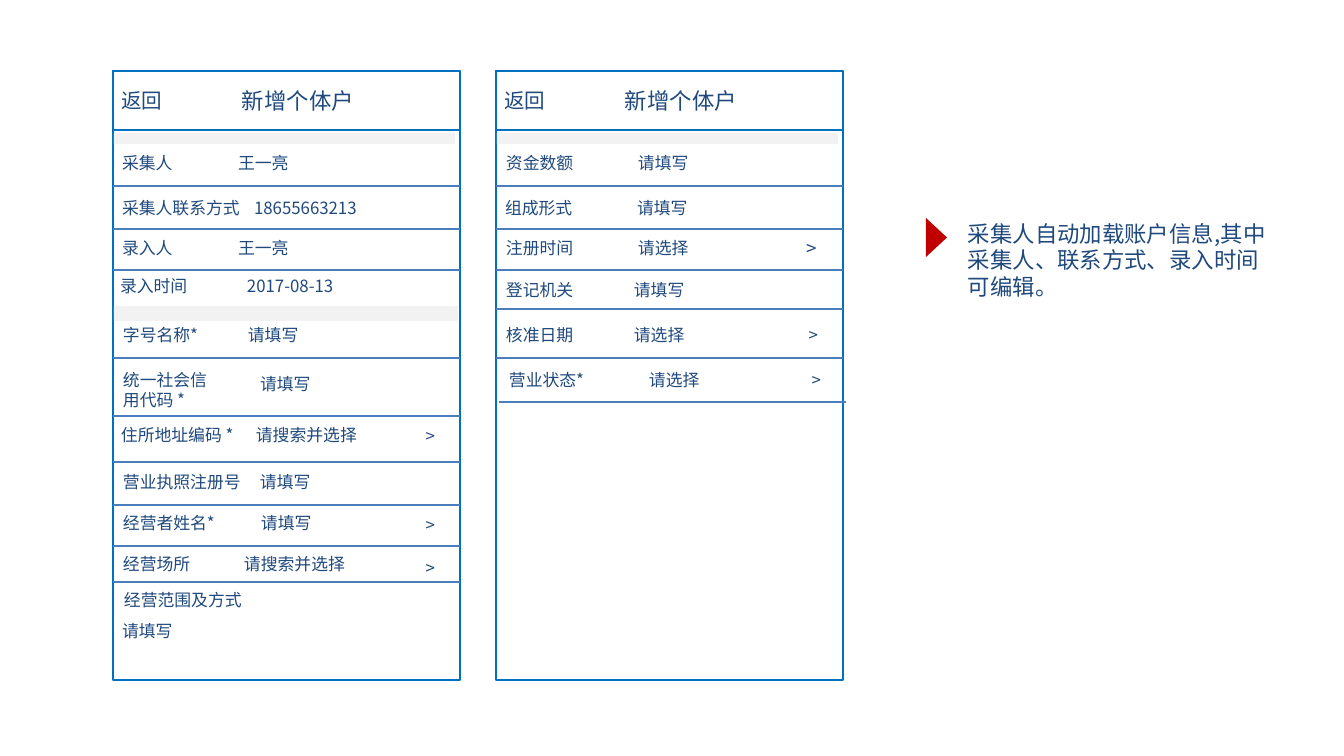
import pptx
import pptx.util
import pptx.dml.color
import pptx.enum.shapes
import pptx.enum.text
import pptx.oxml.ns
from lxml import etree

SCALE = 914400 / 134.4
FONT = "Noto Sans CJK SC"
COLORS = {"text": "1F497D", "frame": "0070C0", "rule": "4B7EBC",
          "band": "F2F2F2", "white": "FFFFFF", "marker": "C00000"}
SHAPES = pptx.enum.shapes.MSO_SHAPE
ALIGN = pptx.enum.text.PP_ALIGN


def px(length):
    return pptx.util.Emu(round(length * SCALE))


def color(name):
    return pptx.dml.color.RGBColor.from_string(COLORS[name])


def child(parent, tag, **attributes):
    return etree.SubElement(parent, pptx.oxml.ns.qn(tag), **attributes)


def add_box(slide, left, top, width, height, fill=None, line=None,
            kind=SHAPES.RECTANGLE):
    shape = slide.shapes.add_shape(kind, px(left), px(top), px(width), px(height))
    shape.shadow.inherit = False
    if fill:
        shape.fill.solid()
        shape.fill.fore_color.rgb = color(fill)
    else:
        shape.fill.background()
    if line:
        shape.line.color.rgb = color(line)
        shape.line.width = pptx.util.Pt(1.5)
    else:
        shape.line.fill.background()
    return shape


def add_text(slide, left, top, width, height, lines, size=9,
             align=ALIGN.LEFT, fill="white", tab=None, right_inset=0):
    shape = add_box(slide, left, top, width, height, fill)
    frame = shape.text_frame
    frame.word_wrap = True
    frame.vertical_anchor = pptx.enum.text.MSO_ANCHOR.MIDDLE
    frame.margin_left = frame.margin_top = frame.margin_bottom = 0
    frame.margin_right = px(right_inset)
    for index, line in enumerate(lines):
        paragraph = frame.add_paragraph() if index else frame.paragraphs[0]
        paragraph.alignment = align
        if tab:
            tabs = child(paragraph._p.get_or_add_pPr(), "a:tabLst")
            child(tabs, "a:tab", pos=str(px(tab)), algn="l")
        run = paragraph.add_run()
        run.text = line
        run.font.size = pptx.util.Pt(size)
        run.font.name = FONT
        run.font.color.rgb = color("text")
        child(run._r.get_or_add_rPr(), "a:ea", typeface=FONT)


def add_rule(slide, left, top, width):
    connector = slide.shapes.add_connector(
        pptx.enum.shapes.MSO_CONNECTOR.STRAIGHT,
        px(left), px(top), px(left + width), px(top))
    connector.line.color.rgb = color("rule")
    connector.line.width = pptx.util.Pt(0.75)
    child(connector._element.spPr, "a:effectLst")


def add_phone(slide, left, top, width, height, bands, rules, rows, chevrons):
    add_box(slide, left, top, width, 59, "white", "frame")
    add_text(slide, left + 107, top + 10, 156, 40, ["新增个体户"], 12,
             ALIGN.CENTER, None)
    add_box(slide, left, top, width, height, None, "frame")
    add_text(slide, left + 4, top + 18, 50, 23, ["返回"], 11, ALIGN.CENTER)
    for x, y, label, value_x, value in rows:
        line = f"{label}\t{value}" if label and value else label or value
        start = x if label else value_x
        lines = line.split("\n")
        add_text(slide, left + start, top + y, 335 - start, 20 * len(lines),
                 lines, fill="white" if label else None,
                 tab=value_x - x if label and value else None)
    for y, band_width, band_height in bands:
        add_box(slide, left + 1, top + y, band_width, band_height, "band")
    for x, y in rules:
        add_rule(slide, left + x, top + y, width)
    for x, y, size in chevrons:
        add_text(slide, left + x, top + y, 52, 20, [">"], size, ALIGN.RIGHT,
                 None, right_inset=13)


def add_note(slide, left, top, width, height, text):
    add_text(slide, left + 51, top, width - 51, height, [text], 12)
    marker = add_box(slide, left, top + 8, 39, 21, "marker",
                     kind=SHAPES.ISOSCELES_TRIANGLE)
    marker.rotation = 90


COLLECTOR_ROWS = [
    (9, 82, "采集人", 125, "王一亮"),
    (9, 127, "采集人联系方式", 141, "18655663213"),
    (9, 167, "录入人", 125, "王一亮"),
    (7, 205, "录入时间", 134, "2017-08-13"),
    (10, 254, "字号名称*", 135, "请填写"),
    (10, 299, "统一社会信\n用代码 *", 0, ""),
    (0, 303, "", 147, "请填写"),
    (8, 354, "住所地址编码 *", 143, "请搜索并选择"),
    (10, 401, "营业执照注册号", 147, "请填写"),
    (10, 442, "经营者姓名*", 148, "请填写"),
    (10, 483, "经营场所", 131, "请搜索并选择"),
    (11, 519, "经营范围及方式", 0, ""),
    (9, 550, "请填写", 0, ""),
]
BUSINESS_ROWS = [
    (10, 82, "资金数额", 142, "请填写"),
    (9, 127, "组成形式", 141, "请填写"),
    (10, 167, "注册时间", 142, "请选择"),
    (10, 209, "登记机关", 138, "请填写"),
    (10, 254, "核准日期", 138, "请选择"),
    (13, 299, "营业状态*", 153, "请选择"),
]
HEADER_BAND = (62, 341, 11)

presentation = pptx.Presentation()
presentation.slide_width = px(1344)
presentation.slide_height = px(756)
slide = presentation.slides.add_slide(presentation.slide_layouts[6])

add_phone(slide, 113, 71, 347, 609, [HEADER_BAND, (235, 344, 15)],
          [(0, y) for y in (115, 158, 199, 287, 345, 391, 434, 475, 511)],
          COLLECTOR_ROWS, [(283, y, 9) for y in (355, 444, 487)])
add_phone(slide, 496, 71, 347, 609, [HEADER_BAND],
          [(0, y) for y in (115, 158, 199, 238, 287)] + [(3, 331)],
          BUSINESS_ROWS, [(282, 167, 10), (283, 254, 9), (286, 299, 9)])
add_note(slide, 917, 219, 357, 82,
         "采集人自动加载账户信息,其中采集人、联系方式、录入时间可编辑。".replace(",", ","))

presentation.save("out.pptx")
